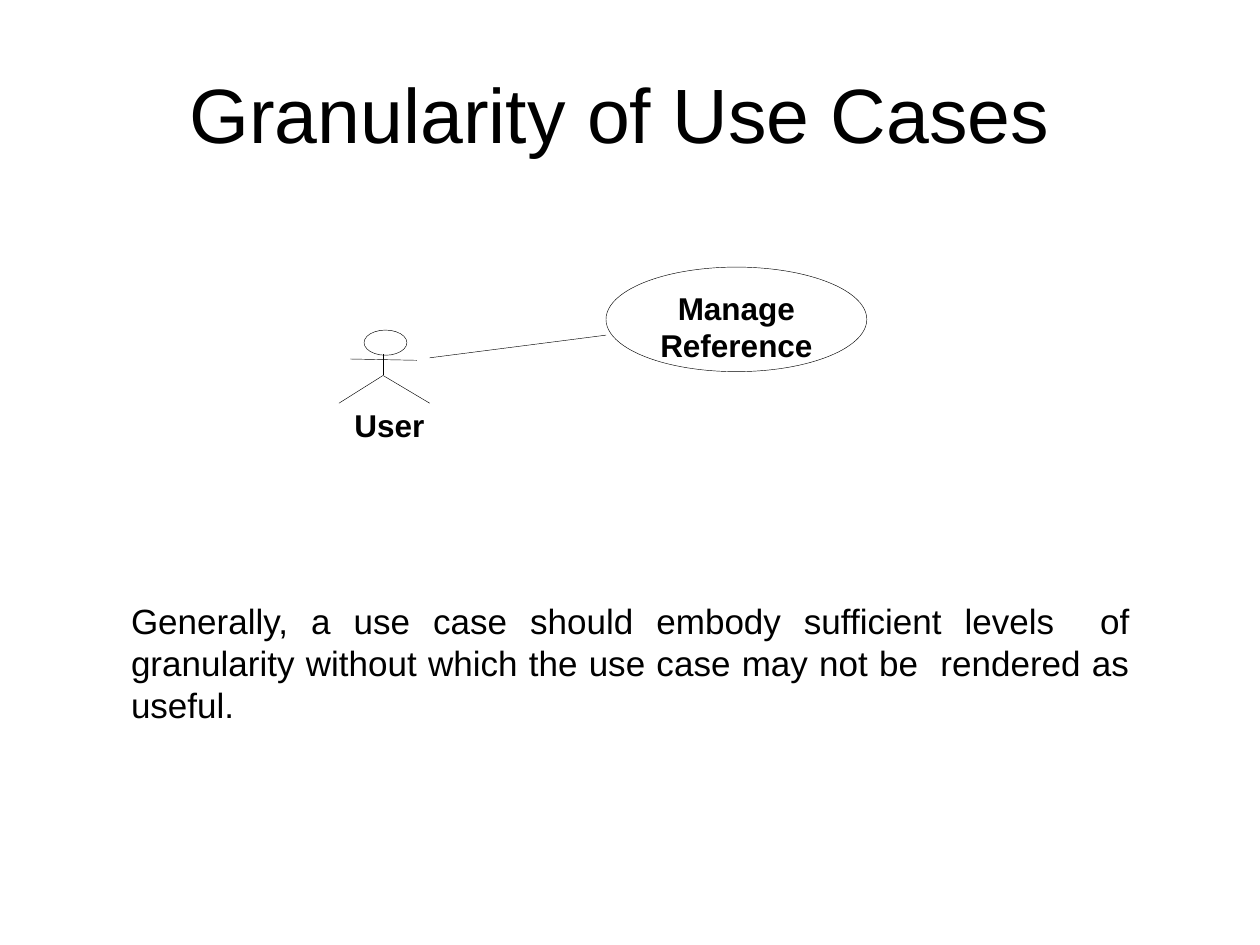
from math import cos, pi, sin

from lxml.etree import SubElement
from pptx import Presentation
from pptx.dml.color import RGBColor
from pptx.enum.shapes import MSO_CONNECTOR, MSO_SHAPE
from pptx.enum.text import MSO_ANCHOR, PP_ALIGN
from pptx.oxml.ns import qn
from pptx.util import Inches, Pt

COLORS = {"ink": "000000"}
FONT = "Arial"
LINE_WIDTH = Pt(0.25)


def format_text(text_frame, text, size, alignment, bold=False):
    text_frame.text = text
    text_frame.word_wrap = True
    paragraph = text_frame.paragraphs[0]
    paragraph.alignment = alignment
    font = paragraph.runs[0].font
    font.name = FONT
    font.size = Pt(size)
    font.bold = bold
    font.color.rgb = RGBColor.from_string(COLORS["ink"])


def format_line(line):
    line.color.rgb = RGBColor.from_string(COLORS["ink"])
    line.width = LINE_WIDTH


def format_outline(shape):
    shape.shadow.inherit = False
    shape.fill.background()
    format_line(shape.line)


def add_title(slide, text):
    title = slide.shapes.title
    title.left, title.top = Inches(0.5), Inches(0.3)
    title.width, title.height = Inches(9), Inches(1.25)
    text_frame = title.text_frame
    format_text(text_frame, text, 44, PP_ALIGN.CENTER)
    text_frame.vertical_anchor = MSO_ANCHOR.MIDDLE
    text_frame.margin_right = Inches(0.26)
    text_frame.margin_bottom = Inches(0.11)


def add_label(slide, text, left, top, width, height, size, alignment, bold=False):
    label = slide.shapes.add_textbox(
        Inches(left), Inches(top), Inches(width), Inches(height)
    )
    text_frame = label.text_frame
    text_frame.margin_left = text_frame.margin_right = text_frame.margin_bottom = 0
    text_frame.margin_top = Inches(0.01)
    format_text(text_frame, text, size, alignment, bold)


def add_ellipse(slide, left, top, width, height):
    ellipse = slide.shapes.add_shape(
        MSO_SHAPE.OVAL, Inches(left), Inches(top), Inches(width), Inches(height)
    )
    format_outline(ellipse)


def add_line(shapes, start, end):
    connector = shapes.add_connector(
        MSO_CONNECTOR.STRAIGHT, *(Inches(value) for value in (*start, *end))
    )
    SubElement(connector._element.spPr, qn("a:effectLst"))
    format_line(connector.line)


def add_strokes(shapes, strokes):
    strokes = [[(Inches(x), Inches(y)) for x, y in stroke] for stroke in strokes]
    builder = shapes.build_freeform(*strokes[0][0])
    for index, (start, *points) in enumerate(strokes):
        if index:
            builder.move_to(*start)
        builder.add_line_segments(points, close=False)
    format_outline(builder.convert_to_shape())


def ellipse_points(center_x, center_y, radius_x, radius_y, steps=24):
    angles = [2 * pi * step / steps for step in range(steps + 1)]
    return [
        (center_x + radius_x * sin(angle), center_y + radius_y * cos(angle))
        for angle in angles
    ]


def add_actor(slide):
    shapes = slide.shapes.add_group_shape().shapes
    head = ellipse_points(3.06, 2.72, 0.17, 0.1)
    body = [(3.04, 2.81), (3.04, 2.98)]
    arms = [(2.78, 2.85), (3.31, 2.86)]
    legs = [(2.69, 3.2), (3.04, 2.98), (3.41, 3.2)]
    add_strokes(shapes, [head, body, arms])
    add_strokes(shapes, [legs])
    add_line(shapes, (4.81, 2.66), (3.41, 2.84))


def main():
    presentation = Presentation()
    presentation.slide_width = Inches(10)
    presentation.slide_height = Inches(7.5)
    slide = presentation.slides.add_slide(presentation.slide_layouts[5])

    add_title(slide, "Granularity of Use Cases")
    add_ellipse(slide, 4.81, 2.12, 2.07, 0.83)
    add_label(slide, "Manage Reference", 5.23, 2.28, 1.23, 0.61, 18,
              PP_ALIGN.CENTER, bold=True)
    add_actor(slide)
    add_label(slide, "User", 2.8, 3.21, 0.58, 0.31, 18, PP_ALIGN.CENTER, bold=True)
    add_label(
        slide,
        "Generally, a use case should embody sufficient levels  of granularity "
        "without which the use case may not be  rendered as useful.",
        1.04, 4.75, 7.93, 1.01, 20, PP_ALIGN.JUSTIFY,
    )

    presentation.save("out.pptx")


if __name__ == "__main__":
    main()
